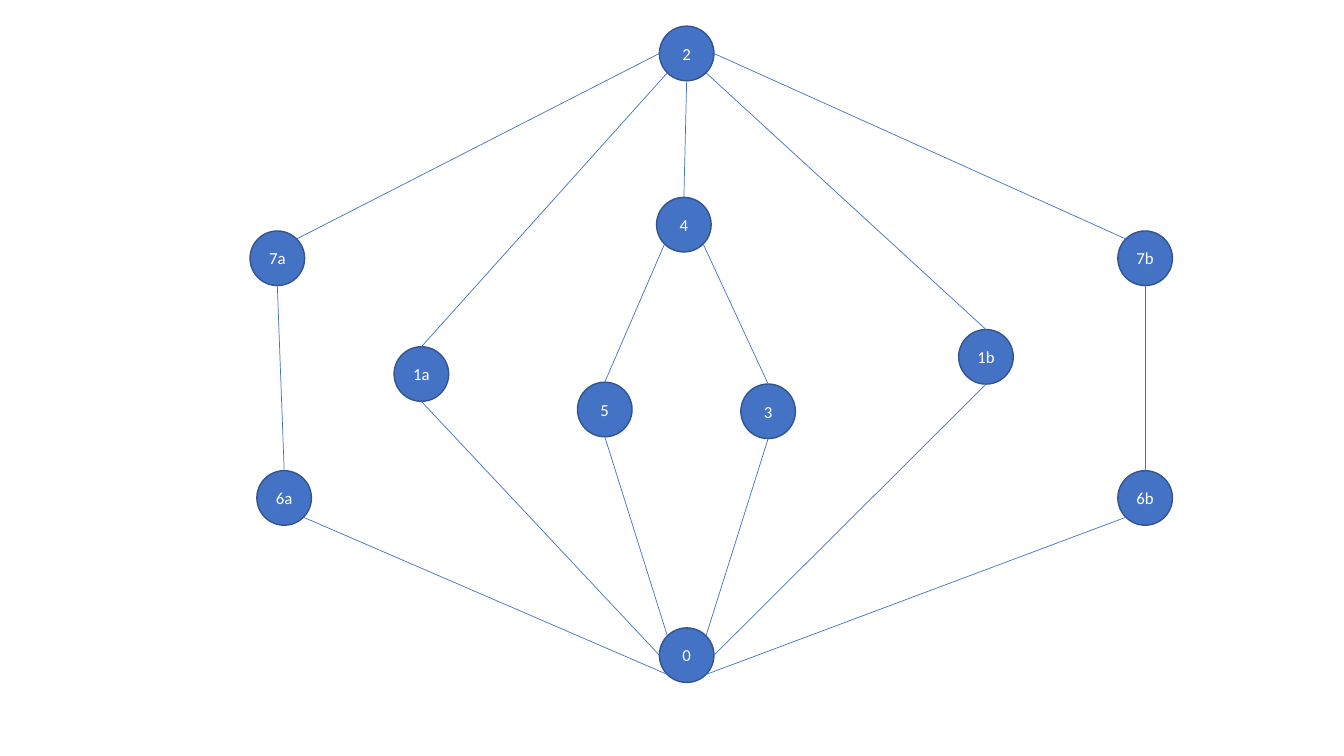
from math import cos, radians, sin

from lxml import etree
from pptx import Presentation
from pptx.dml.color import RGBColor
from pptx.enum import shapes, text
from pptx.oxml.ns import qn
from pptx.util import Pt

DIAMETER = 39
BLUE, DARK_BLUE, WHITE = "4472C4", "325491", "FFFFFF"

# Left and top of each node's circle
NODES = {
    "0": (471, 448.5),
    "6a": (183.5, 336.2),
    "7a": (178.6, 165),
    "2": (471, 18.7),
    "7b": (798.5, 165),
    "6b": (798.5, 336.2),
    "1a": (281.5, 247.7),
    "5": (412.5, 273),
    "3": (529.2, 274.3),
    "1b": (684.8, 235.4),
    "4": (469, 141),
}

# Connection sites of an ellipse, counter-clockwise from the top
TOP, TOP_LEFT, LEFT, BOTTOM_LEFT, BOTTOM, BOTTOM_RIGHT, RIGHT, TOP_RIGHT = range(8)

EDGES = [
    ("2", LEFT, "7a", TOP_RIGHT),
    ("7a", BOTTOM, "6a", TOP),
    ("6a", BOTTOM_RIGHT, "0", BOTTOM_LEFT),
    ("2", RIGHT, "7b", TOP_LEFT),
    ("6b", TOP, "7b", BOTTOM),
    ("6b", BOTTOM_LEFT, "0", BOTTOM_RIGHT),
    ("0", TOP_LEFT, "5", BOTTOM),
    ("0", TOP_RIGHT, "3", BOTTOM),
    ("3", TOP, "4", BOTTOM_RIGHT),
    ("5", TOP, "4", BOTTOM_LEFT),
    ("4", TOP, "2", BOTTOM),
    ("2", BOTTOM_LEFT, "1a", TOP),
    ("0", LEFT, "1a", BOTTOM),
    ("0", RIGHT, "1b", BOTTOM),
    ("1b", TOP, "2", BOTTOM_RIGHT),
]


def write(shape, label, size=12, font="Calibri", color=WHITE):
    frame = shape.text_frame
    frame.margin_left = frame.margin_right = frame.margin_top = frame.margin_bottom = 0
    frame.vertical_anchor = text.MSO_ANCHOR.MIDDLE
    paragraph = frame.paragraphs[0]
    paragraph.alignment = text.PP_ALIGN.CENTER
    run = paragraph.add_run()
    run.text = label
    run.font.size = Pt(size)
    run.font.name = font
    run.font.color.rgb = RGBColor.from_string(color)


def site_position(node, site):
    """Return the x and y of a connection site on a node's circle."""
    left, top = NODES[node]
    angle = radians(90 + 45 * site)
    radius = DIAMETER / 2
    return Pt(left + radius + radius * cos(angle)), Pt(top + radius - radius * sin(angle))


presentation = Presentation()
presentation.slide_width = Pt(960)
presentation.slide_height = Pt(540)
slide = presentation.slides.add_slide(presentation.slide_layouts[6])

circles = {}
for name, (left, top) in NODES.items():
    circle = slide.shapes.add_shape(
        shapes.MSO_SHAPE.OVAL, Pt(left), Pt(top), Pt(DIAMETER), Pt(DIAMETER))
    circle.shadow.inherit = False
    circle.fill.solid()
    circle.fill.fore_color.rgb = RGBColor.from_string(BLUE)
    circle.line.color.rgb = RGBColor.from_string(DARK_BLUE)
    circle.line.width = Pt(1)
    write(circle, name)
    circles[name] = circle

for start, start_site, end, end_site in EDGES:
    edge = slide.shapes.add_connector(
        shapes.MSO_CONNECTOR.STRAIGHT,
        *site_position(start, start_site), *site_position(end, end_site))
    edge.line.color.rgb = RGBColor.from_string(BLUE)
    edge.line.width = Pt(0.5)
    etree.SubElement(edge.element.spPr, qn("a:effectLst"))
    # begin_connect knows only four sites; an ellipse has eight
    joints = edge.element.find(".//" + qn("p:cNvCxnSpPr"))
    for tag, node, site in (("a:stCxn", start, start_site), ("a:endCxn", end, end_site)):
        etree.SubElement(joints, qn(tag), id=str(circles[node].shape_id), idx=str(site))

presentation.save("out.pptx")
